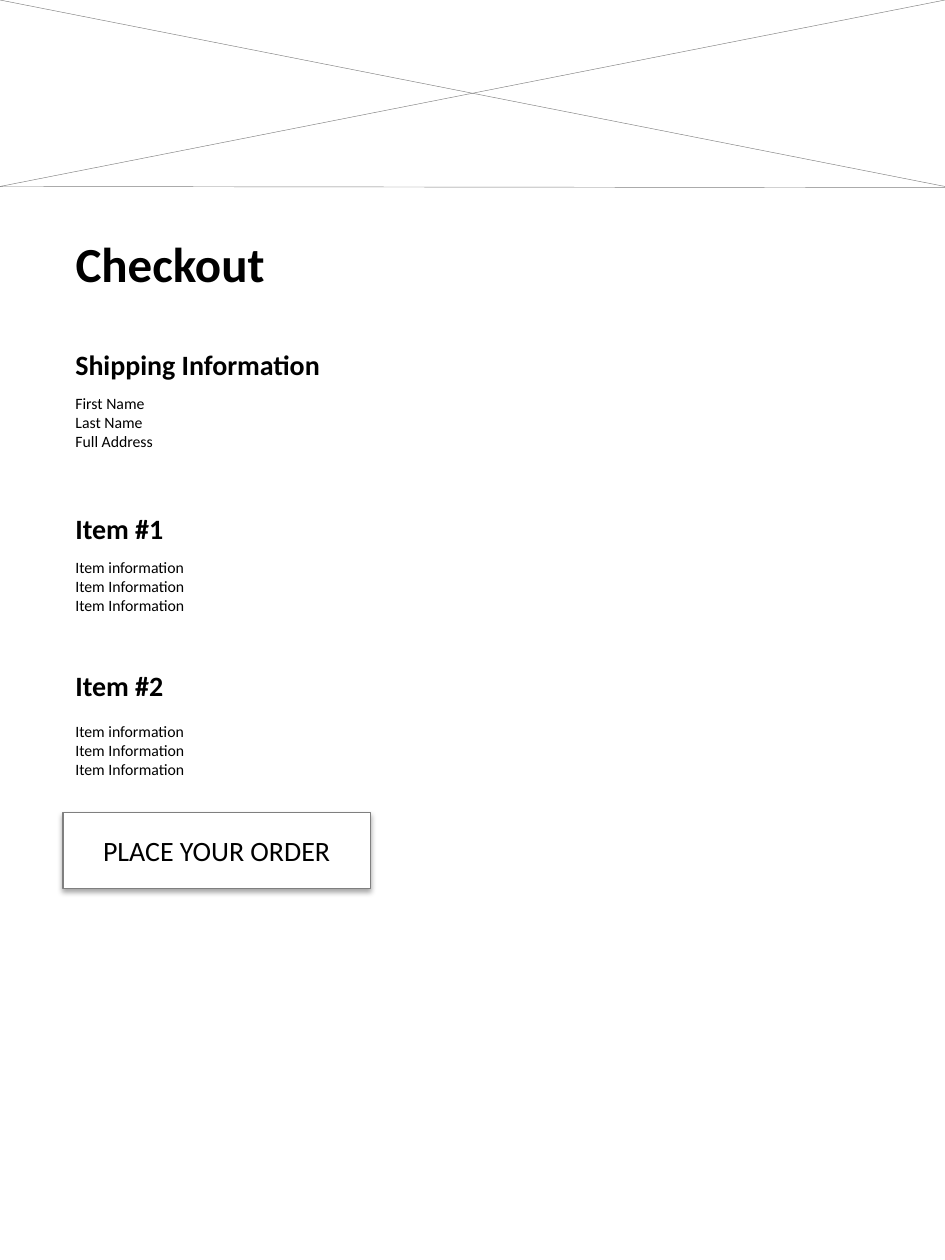
from lxml import etree
from pptx import Presentation
from pptx.dml.color import RGBColor
from pptx.enum.shapes import MSO_CONNECTOR as Connector, MSO_SHAPE as Shape
from pptx.enum.text import MSO_ANCHOR as Anchor, MSO_AUTO_SIZE as AutoSize, PP_ALIGN as Align
from pptx.oxml.ns import qn
from pptx.util import Inches, Pt

BLACK, GRAY, WHITE = "000000", "7F7F7F", "FFFFFF"
LEFT = 0.5


def color(hex_text):
    return RGBColor.from_string(hex_text)


def write(shape, *lines, size=9, bold=False, align=Align.LEFT, anchor=Anchor.TOP,
          fit=AutoSize.SHAPE_TO_FIT_TEXT):
    frame = shape.text_frame
    frame.word_wrap = True
    frame.auto_size = fit
    frame.vertical_anchor = anchor
    for index, line in enumerate(lines):
        para = frame.add_paragraph() if index else frame.paragraphs[0]
        para.alignment = align
        span = para.add_run()
        span.text = line
        span.font.name = "Calibri"
        span.font.size = Pt(size)
        span.font.bold = bold
        span.font.color.rgb = color(BLACK)


def add_text(page, left, top, width, height, *lines, **style):
    box = page.shapes.add_textbox(*map(Inches, (left, top, width, height)))
    write(box, *lines, **style)


def add_line(page, *ends):
    line = page.shapes.add_connector(Connector.STRAIGHT, *map(Inches, ends))
    line.line.color.rgb = color(GRAY)
    line.line.width = Pt(0.25)
    etree.SubElement(line._element.spPr, qn("a:effectLst"))


def add_banner(page, left, top, width, height):
    """Crossed placeholder area with a bottom rule."""
    right, bottom = left + width, top + height
    add_line(page, left, top, right, bottom)
    add_line(page, right, top, left, bottom)
    add_line(page, right, bottom + 0.01, left, bottom)


def add_title(page, left, top, width, height, text):
    title = page.shapes.title
    title.left, title.top, title.width, title.height = map(Inches, (left, top, width, height))
    write(title, text, size=28, bold=True)


def add_section(page, left, top, heading_width, body_width, body_top, heading, lines):
    """Bold heading over a block of detail lines."""
    add_text(page, left, top, heading_width, 0.37, heading, size=16, bold=True)
    add_text(page, left, body_top, body_width, 0.56, *lines)


def add_button(page, left, top, width, height, text):
    button = page.shapes.add_shape(Shape.RECTANGLE, *map(Inches, (left, top, width, height)))
    button.fill.solid()
    button.fill.fore_color.rgb = color(WHITE)
    button.line.color.rgb = color(GRAY)
    button.line.width = Pt(0.75)
    # Soft shadow straight below the button
    button.shadow.inherit = False
    effects = button._element.spPr.find(qn("a:effectLst"))
    shadow = etree.SubElement(effects, qn("a:outerShdw"), blurRad=str(Pt(3.1)),
                              dist=str(Pt(1.8)), dir="5400000", rotWithShape="0")
    tint = etree.SubElement(shadow, qn("a:srgbClr"), val=BLACK)
    etree.SubElement(tint, qn("a:alpha"), val="35000")
    write(button, text, size=16, align=Align.CENTER, anchor=Anchor.MIDDLE, fit=AutoSize.NONE)


def main():
    deck = Presentation()
    deck.slide_width, deck.slide_height = Inches(7.5), Inches(10)
    page = deck.slides.add_slide(deck.slide_layouts[5])

    add_banner(page, 0, 0, 7.5, 1.48)
    add_title(page, LEFT, 1.8, 1.97, 0.57, "Checkout")

    # Order details
    item_lines = ["Item information", "Item Information", "Item Information"]
    add_section(page, LEFT, 2.71, 2.44, 3.75, 3.08, "Shipping Information",
                ["First Name", "Last Name", "Full Address"])
    add_section(page, LEFT, 4.01, 1.02, 1.66, 4.38, "Item #1", item_lines)
    add_section(page, LEFT, 5.26, 1.02, 1.66, 5.68, "Item #2", item_lines)

    add_button(page, LEFT, 6.45, 2.44, 0.6, "PLACE YOUR ORDER")
    deck.save("out.pptx")


if __name__ == "__main__":
    main()
